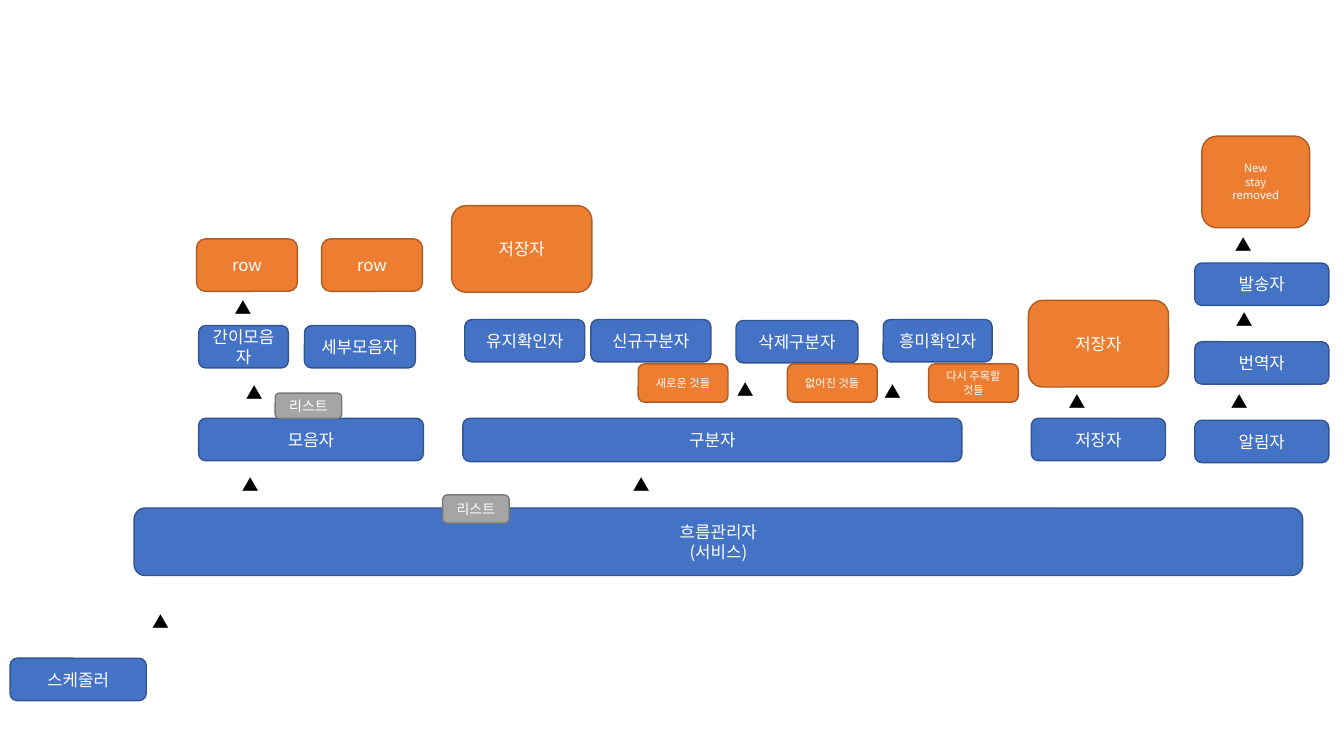
from lxml import etree
from pptx import Presentation
from pptx.dml.color import RGBColor
from pptx.enum.shapes import MSO_SHAPE
from pptx.enum.text import MSO_ANCHOR, MSO_AUTO_SIZE, PP_ALIGN
from pptx.oxml.ns import qn
from pptx.util import Inches, Pt

ROUNDED = MSO_SHAPE.ROUNDED_RECTANGLE
MIDDLE, CENTER, LEFT = MSO_ANCHOR.MIDDLE, PP_ALIGN.CENTER, PP_ALIGN.LEFT
GROW = MSO_AUTO_SIZE.SHAPE_TO_FIT_TEXT
FONT = "Noto Sans CJK KR"
SERVICE = ("4472C4", "325491", 12)
STORE = ("ED7D31", "AF5C24", 12)
RESULT = ("ED7D31", "AF5C24", 8)
LISTING = ("A5A5A5", "7A7A7A", 10)


def rgb(value):
    """Turn a hex string into a colour."""
    return RGBColor.from_string(value)


def write(tf, text, size, color, align):
    """Fill a text frame with one paragraph per line of text."""
    for i, line in enumerate(text.split("\n")):
        p = tf.paragraphs[0] if i == 0 else tf.add_paragraph()
        p.alignment = align
        r = p.add_run()
        r.text = line
        r.font.color.rgb = rgb(color)
        for name, value in {"size": Pt(size), "name": FONT}.items():
            setattr(r.font, name, value)
        etree.SubElement(r._r.get_or_add_rPr(), qn("a:ea"), typeface=FONT)


def node(s, x, y, w, h, text, style):
    """Add a rounded box with centred white text."""
    fill, line, size = style
    sp = s.shapes.add_shape(ROUNDED, Inches(x), Inches(y), Inches(w), Inches(h))
    sp.shadow.inherit = False
    sp.fill.solid()
    sp.fill.fore_color.rgb = rgb(fill)
    sp.line.color.rgb = rgb(line)
    sp.line.width = Pt(1)
    for name, value in {"word_wrap": True, "vertical_anchor": MIDDLE}.items():
        setattr(sp.text_frame, name, value)
    write(sp.text_frame, text, size, "FFFFFF", CENTER)


def up_mark(s, x, y):
    """Add an upward triangle sign."""
    sp = s.shapes.add_textbox(Inches(x), Inches(y), Inches(0.56), Inches(0.3))
    for name, value in {"word_wrap": True, "auto_size": GROW}.items():
        setattr(sp.text_frame, name, value)
    write(sp.text_frame, "▲", 12, "000000", LEFT)


def flow_manager(s, x, y, w, h):
    """Place the flow manager bar, its list tag and the marks above it."""
    node(s, x, y, w, h, "흐름관리자\n(서비스)", SERVICE)
    node(s, x + 3.06, y - 0.13, 0.66, 0.28, "리스트", LISTING)
    for dx in (0.97, 4.85):
        up_mark(s, x + dx, y - 0.38)


def scheduler(s, x, y, w, h):
    """Place the scheduler and the mark leading to the flow manager."""
    node(s, x, y, w, h, "스케줄러", SERVICE)
    up_mark(s, x + w - 0.04, y - 0.51)


def collector(s, x, y, w, h):
    """Place the collector column with its two rows."""
    for dx in (0, 1.24):
        node(s, x + dx, y, 1, 0.52, "row", STORE)
    for dx, part_w, text in ((0.02, 0.89, "간이모음자"), (1.07, 1.1, "세부모음자")):
        node(s, x + dx, y + 0.86, part_w, 0.42, text, SERVICE)
    node(s, x + 0.02, y + h - 0.42, w - 0.02, 0.42, "모음자", SERVICE)
    node(s, x + 0.78, y + h - 0.67, 0.66, 0.25, "리스트", LISTING)
    for dx, dy in ((0.28, 0.53), (0.39, 1.38)):
        up_mark(s, x + dx, y + dy)


def classifier(s, x, y, w, h):
    """Place the classifier bar, its checkers and their results."""
    node(s, x, y, 1.39, 0.86, "저장자", STORE)
    node(s, x + 0.11, y + h - 0.43, w - 0.67, 0.43, "구분자", SERVICE)
    checkers = (
        (0.13, 1.13, 1.19, "유지확인자"),
        (1.38, 1.13, 1.19, "신규구분자"),
        (2.82, 1.14, 1.21, "삭제구분자"),
        (4.28, 1.13, 1.08, "흥미확인자"),
    )
    for dx, dy, part_w, text in checkers:
        node(s, x + dx, y + dy, part_w, 0.42, text, SERVICE)
    results = ((1.85, "새로운 것들"), (3.33, "없어진 것들"), (4.73, "다시 주목할 것들"))
    for dx, text in results:
        node(s, x + dx, y + 1.57, 0.89, 0.38, text, RESULT)
    for dx, dy in ((2.73, 1.68), (4.19, 1.7)):
        up_mark(s, x + dx, y + dy)


def storage(s, x, y, w, h):
    """Place the saver and its store."""
    node(s, x, y, w, 0.86, "저장자", STORE)
    node(s, x + 0.03, y + h - 0.42, w - 0.06, 0.42, "저장자", SERVICE)
    up_mark(s, x + 0.3, y + 0.86)


def notifier(s, x, y, w, h):
    """Place the notifier stack below its message box."""
    node(s, x + 0.07, y, 1.07, 0.91, "New\nstay\nremoved", RESULT)
    for i, text in enumerate(("알림자", "번역자", "발송자")):
        node(s, x, y + h - 0.42 - 0.78 * i, w, 0.42, text, SERVICE)
    for dx, dy in ((0.26, 2.49), (0.31, 1.67), (0.3, 0.93)):
        up_mark(s, x + dx, y + dy)


def main():
    """Build the slide and save it."""
    prs = Presentation()
    prs.slide_width, prs.slide_height = Inches(13.33), Inches(7.5)
    s = prs.slides.add_slide(prs.slide_layouts[6])
    flow_manager(s, 1.33, 5.04, 11.59, 0.67)
    scheduler(s, 0.1, 6.53, 1.35, 0.42)
    collector(s, 1.95, 2.37, 2.25, 2.2)
    classifier(s, 4.48, 2.04, 5.62, 2.54)
    storage(s, 10.2, 2.98, 1.39, 1.59)
    notifier(s, 11.85, 1.35, 1.33, 3.24)
    prs.save("out.pptx")


main()
